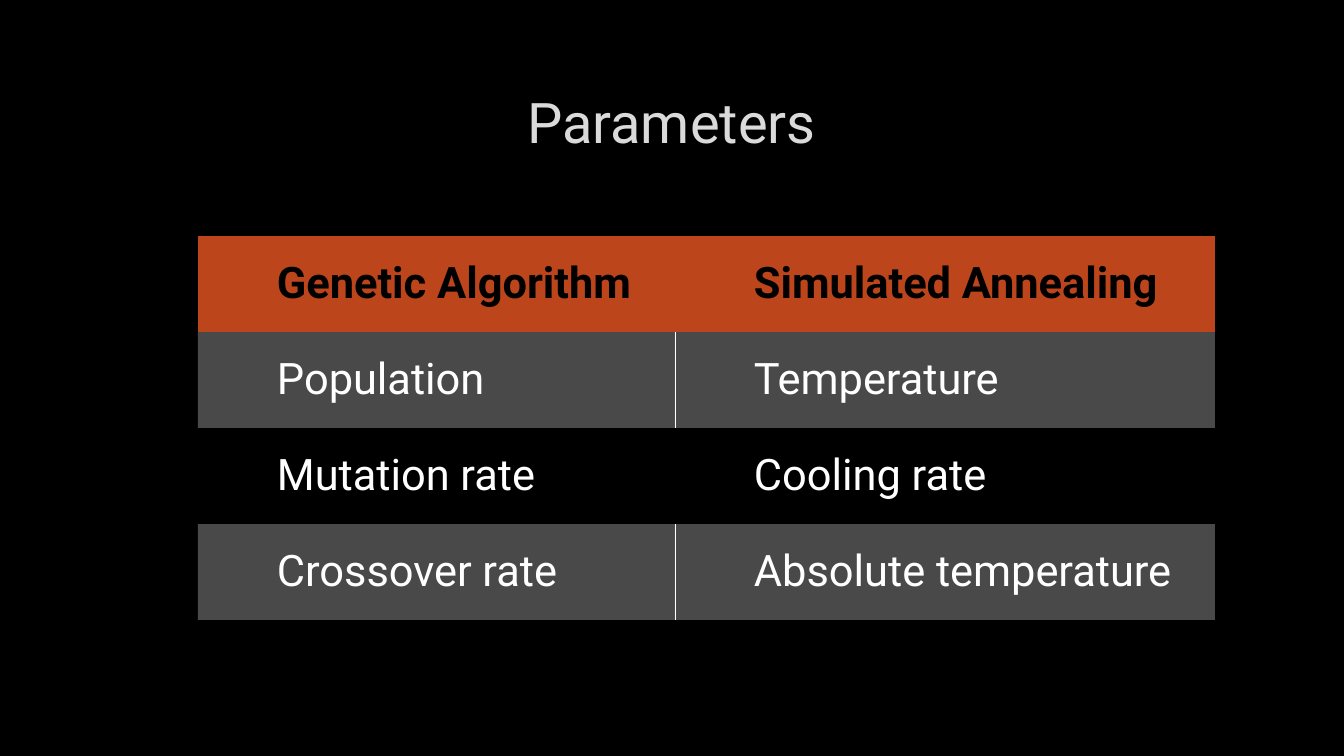
from dataclasses import dataclass

import pptx
import pptx.dml.color
import pptx.enum.text
import pptx.oxml
import pptx.oxml.ns
import pptx.util

EMU_PER_PX = 914400 / 100.8
DRAWING_NS = pptx.oxml.ns.nsdecls("a")
NO_GRID_STYLE = "{2D5ABB26-0587-4C30-8999-92F81FD0307C}"
MIDDLE = pptx.enum.text.MSO_ANCHOR.MIDDLE
TOP = pptx.enum.text.MSO_ANCHOR.TOP


@dataclass(frozen=True)
class Theme:
    font: str = "Roboto"
    title_size: int = 40
    table_size: int = 31
    background: str = "000000"
    title: str = "DADADA"
    title_edge: str = "404040"
    header: str = "BC451B"
    header_text: str = "000000"
    body_text: str = "FFFFFF"
    band: str = "F2F2F2"
    divider: str = "FFFFFF"


THEME = Theme()
PARAMETERS = [
    ("Genetic Algorithm", "Simulated Annealing"),
    ("Population", "Temperature"),
    ("Mutation rate", "Cooling rate"),
    ("Crossover rate", "Absolute temperature"),
]
COLUMN_WIDTHS = (477, 540)
ROW_HEIGHT = 96
TEXT_INDENT = 50


def px(length):
    return pptx.util.Emu(round(length * EMU_PER_PX))


def apply_format(target, values):
    for name, value in values.items():
        setattr(target, name, value)


def paint(fill, color):
    fill.solid()
    fill.fore_color.rgb = pptx.dml.color.RGBColor.from_string(color)


def write(paragraph, text, size, color, align, bold=False):
    paragraph.alignment = align
    run = paragraph.add_run()
    run.text = text
    apply_format(run.font, {
        "name": THEME.font, "size": pptx.util.Pt(size), "bold": bold,
    })
    paint(run.font.fill, color)
    return run


def line_xml(tag, color, points, alpha=100):
    return pptx.oxml.parse_xml(
        f'<a:{tag} {DRAWING_NS} w="{pptx.util.Pt(points)}"><a:solidFill>'
        f'<a:srgbClr val="{color}"><a:alpha val="{alpha * 1000}"/></a:srgbClr>'
        f'</a:solidFill><a:prstDash val="solid"/></a:{tag}>')


def add_title(slide, text):
    title = slide.shapes.title
    apply_format(title, {
        "left": px(101), "top": px(68), "width": px(1141), "height": px(107),
    })
    apply_format(title.text_frame, {
        "vertical_anchor": MIDDLE, "word_wrap": True,
        "auto_size": pptx.enum.text.MSO_AUTO_SIZE.NONE,
    })
    run = write(title.text_frame.paragraphs[0], text, THEME.title_size,
                THEME.title, pptx.enum.text.PP_ALIGN.CENTER)
    edge = line_xml("ln", THEME.title_edge, 0.75, alpha=10)
    run._r.get_or_add_rPr().insert(0, edge)


def shade_band(cell, divider_side):
    """Fill the cell with a translucent band and rule its inner side."""
    paint(cell.fill, THEME.band)
    properties = cell._tc.get_or_add_tcPr()
    color = properties.find(".//" + pptx.oxml.ns.qn("a:srgbClr"))
    color.append(pptx.oxml.parse_xml(f'<a:alpha {DRAWING_NS} val="30000"/>'))
    properties.insert(0, line_xml(divider_side, THEME.divider, 0.5))


def format_cell(cell, text, row, column):
    is_header = row == 0
    apply_format(cell, {
        "margin_left": px(29), "margin_top": px(22),
        "margin_right": px(17), "margin_bottom": px(22),
        "vertical_anchor": MIDDLE if is_header else TOP,
    })
    paragraph = cell.text_frame.paragraphs[0]
    write(paragraph, text, THEME.table_size,
          THEME.header_text if is_header else THEME.body_text,
          pptx.enum.text.PP_ALIGN.JUSTIFY, bold=is_header)
    indents = paragraph._p.get_or_add_pPr()
    indents.set("marL", str(px(TEXT_INDENT)))
    indents.set("indent", "0")
    if is_header:
        paint(cell.fill, THEME.header)
    elif row % 2:
        shade_band(cell, ("lnR", "lnL")[column])
    else:
        paint(cell.fill, THEME.background)


def add_parameter_table(slide, rows):
    table = slide.shapes.add_table(
        len(rows), len(COLUMN_WIDTHS), px(198), px(236),
        px(sum(COLUMN_WIDTHS)), px(ROW_HEIGHT * len(rows))).table
    table._tbl.tblPr.find(pptx.oxml.ns.qn("a:tableStyleId")).text = NO_GRID_STYLE
    for column, width in zip(table.columns, COLUMN_WIDTHS):
        column.width = px(width)
    for row, texts in enumerate(rows):
        table.rows[row].height = px(ROW_HEIGHT)
        for column, text in enumerate(texts):
            format_cell(table.cell(row, column), text, row, column)


def main():
    presentation = pptx.Presentation()
    apply_format(presentation, {"slide_width": px(1344), "slide_height": px(756)})
    slide = presentation.slides.add_slide(
        presentation.slide_layouts.get_by_name("Title Only"))
    paint(slide.background.fill, THEME.background)
    add_title(slide, "Parameters")
    add_parameter_table(slide, PARAMETERS)
    presentation.save("out.pptx")


if __name__ == "__main__":
    main()
